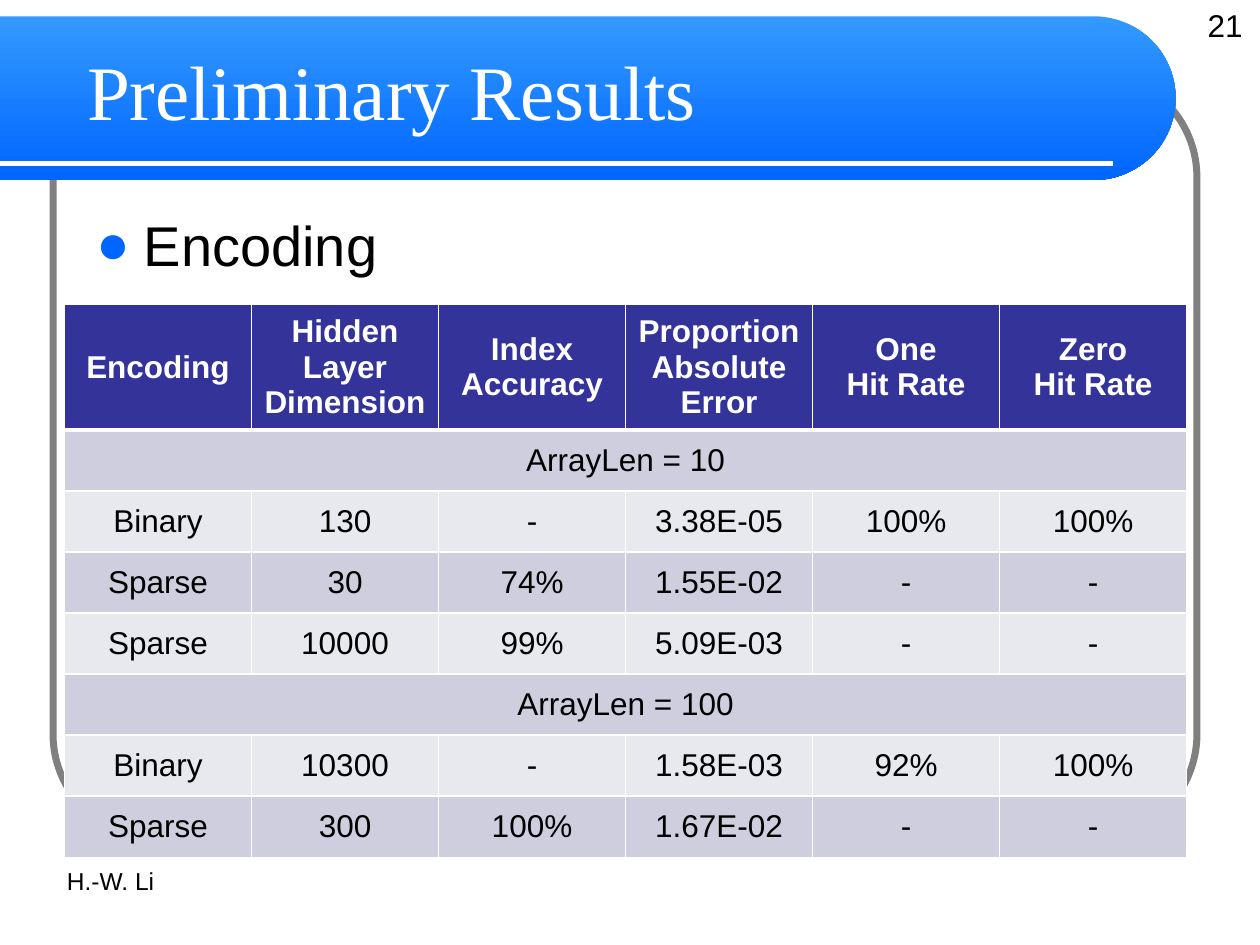
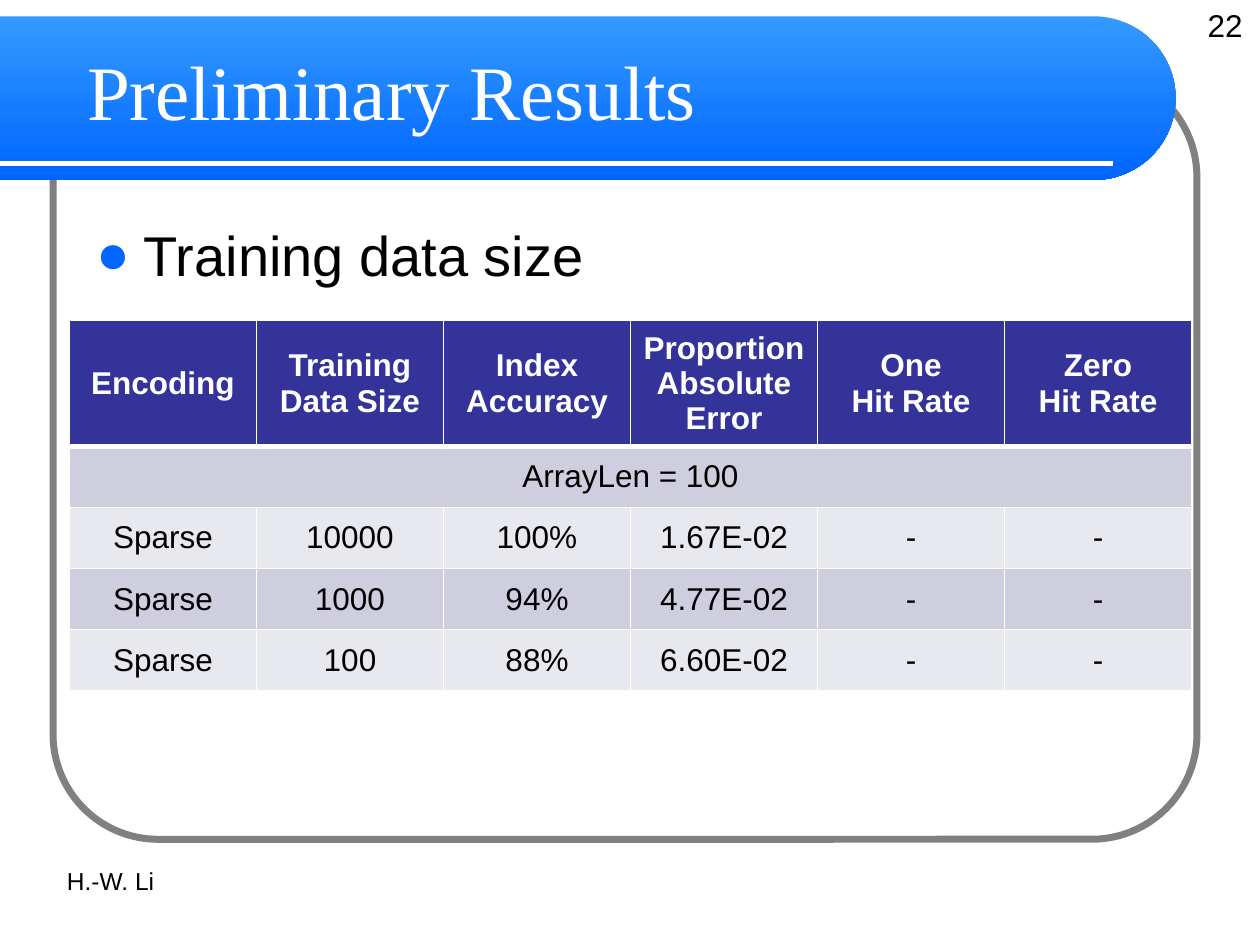
from math import cos, pi, sin

from lxml.etree import SubElement as Sub
from pptx import Presentation
from pptx.dml.color import RGBColor as RGB
from pptx.enum.shapes import MSO_CONNECTOR as Link, MSO_SHAPE as Shape
from pptx.enum.text import MSO_ANCHOR as Anchor, MSO_AUTO_SIZE as Auto, PP_ALIGN as Align
from pptx.oxml.ns import qn
from pptx.util import Cm, Pt

HUES = {
    "white": "FFFFFF",
    "black": "000000",
    "grey": "808080",
    "sky": "3399FF",
    "blue": "0066FF",
    "navy": "333399",
    "dark": "CECEDE",
    "light": "E8E8EF",
}
SANS, SERIF = "Arial", "Times New Roman"
COL, HEAD, ROW = 3.77, 2.36, 1.23

RATES = ["Index\nAccuracy", "Proportion\nAbsolute\nError", "One\nHit Rate", "Zero\nHit Rate"]
CODES = [
    ["Encoding", "Hidden\nLayer\vDimension"] + RATES,
    ["ArrayLen = 10"],
    ["Binary", "130", "-", "3.38E-05", "100%", "100%"],
    ["Sparse", "30", "74%", "1.55E-02", "-", "-"],
    ["Sparse", "10000", "99%", "5.09E-03", "-", "-"],
    ["ArrayLen = 100"],
    ["Binary", "10300", "-", "1.58E-03", "92%", "100%"],
    ["Sparse", "300", "100%", "1.67E-02", "-", "-"],
]
SIZES = [
    ["Encoding", "Training\nData Size"] + RATES,
    ["ArrayLen = 100"],
    ["Sparse", "10000", "100%", "1.67E-02", "-", "-"],
    ["Sparse", "1000", "94%", "4.77E-02", "-", "-"],
    ["Sparse", "100", "88%", "6.60E-02", "-", "-"],
]


def hue(name):
    return RGB.from_string(HUES[name])


def style(frame, size, tint="black", face=SANS, align=Align.LEFT, bold=False):
    for para in frame.paragraphs:
        para.alignment = align
        for run in para.runs:
            font = run.font
            font.size, font.name, font.bold = Pt(size), face, bold
            font.color.rgb = hue(tint)


def add_text(slide, text, box, size, align=Align.LEFT):
    frame = slide.shapes.add_textbox(*map(Cm, box)).text_frame
    frame.word_wrap = True
    frame.text = text
    style(frame, size, align=align)
    return frame


def add_frame(slide):
    frame = slide.shapes.add_shape(Shape.ROUNDED_RECTANGLE, Cm(1.07), Cm(1.45), Cm(23.06), Cm(15.47))
    frame.adjustments[0] = 0.137
    frame.shadow.inherit = False
    frame.fill.background()
    frame.line.color.rgb = hue("grey")
    frame.line.width = Pt(4)


def add_band(slide):
    top, rad, mid = 0.33, 1.65, 22.05
    steps = 48
    turns = [pi * (n / steps - 0.5) for n in range(steps + 1)]
    arc = [(Cm(mid + rad * cos(t)), Cm(top + rad + rad * sin(t))) for t in turns]
    path = slide.shapes.build_freeform(0, Cm(top))
    path.add_line_segments(arc + [(0, Cm(top + 2 * rad))], close=True)
    band = path.convert_to_shape()
    band.shadow.inherit = False
    band.line.fill.background()
    band.fill.gradient()
    band.fill.gradient_angle = 270
    for stop, name in zip(band.fill.gradient_stops, ("sky", "blue")):
        stop.color.rgb = hue(name)


def add_rule(slide):
    rule = slide.shapes.add_connector(Link.STRAIGHT, 0, Cm(3.3), Cm(22.43), Cm(3.3))
    rule.line.color.rgb = hue("white")
    rule.line.width = Pt(3)
    Sub(rule.element.spPr, qn("a:effectLst"))


def set_title(slide, text):
    title = slide.shapes.title
    title.element.getparent().append(title.element)
    title.left, title.top, title.width, title.height = map(Cm, (1.5, 0.53, 21.26, 2.54))
    frame = title.text_frame
    frame.text = text
    frame.auto_size = Auto.NONE
    frame.vertical_anchor = Anchor.MIDDLE
    style(frame, 44, "white", SERIF)


def add_bullet(slide, text, top):
    frame = add_text(slide, text, (1.7, top, 22.02, 12.27), 32)
    props = frame.paragraphs[0]._p.get_or_add_pPr()
    props.set("marL", str(Cm(0.95)))
    props.set("indent", str(-Cm(0.95)))
    Sub(Sub(props, qn("a:spcBef")), qn("a:spcPct"), val="20000")
    Sub(Sub(props, qn("a:buClr")), qn("a:srgbClr"), val=HUES["blue"])
    Sub(props, qn("a:buFont"), typeface=SANS)
    Sub(props, qn("a:buChar"), char="●")


def add_edges(cell, row):
    props = cell._tc.get_or_add_tcPr()
    wide = {"T": 3 if row == 1 else 1, "B": 3 if row == 0 else 1}
    for side in "LRTB":
        edge = Sub(props, qn("a:ln" + side), w=str(Pt(wide.get(side, 1))))
        Sub(Sub(edge, qn("a:solidFill")), qn("a:srgbClr"), val=HUES["white"])


def add_grid(slide, rows, left, top):
    cols = len(rows[0])
    high = HEAD + ROW * (len(rows) - 1)
    grid = slide.shapes.add_table(len(rows), cols, Cm(left), Cm(top), Cm(COL * cols), Cm(high)).table
    for col in grid.columns:
        col.width = Cm(COL)
    for r, texts in enumerate(rows):
        grid.rows[r].height = Cm(ROW if r else HEAD)
        back = ("light", "dark")[r % 2] if r else "navy"
        for c in range(cols):
            cell = grid.cell(r, c)
            add_edges(cell, r)
            cell.fill.solid()
            cell.fill.fore_color.rgb = hue(back)
            cell.vertical_anchor = Anchor.MIDDLE
        if len(texts) == 1:
            grid.cell(r, 0).merge(grid.cell(r, cols - 1))
        for c, text in enumerate(texts):
            frame = grid.cell(r, c).text_frame
            frame.text = text
            style(frame, 18, "black" if r else "white", align=Align.CENTER, bold=r == 0)


def add_page(deck, number, topic, drop, rows, left, top):
    slide = deck.slides.add_slide(deck.slide_layouts[5])
    add_frame(slide)
    add_band(slide)
    add_rule(slide)
    set_title(slide, "Preliminary Results")
    add_bullet(slide, topic, drop)
    add_text(slide, "H.-W. Li", (1.1, 17.33, 8.05, 1.32), 14)
    add_text(slide, str(number), (22.91, 0, 2.39, 1.32), 18, Align.RIGHT)
    add_grid(slide, rows, left, top)


def main():
    deck = Presentation()
    deck.slide_width, deck.slide_height = Cm(25.4), Cm(19.05)
    add_page(deck, 21, "Encoding", 4.11, CODES, 1.3, 6.13)
    add_page(deck, 22, "Training data size", 4.32, SIZES, 1.4, 6.46)
    deck.save("out.pptx")


if __name__ == "__main__":
    main()
